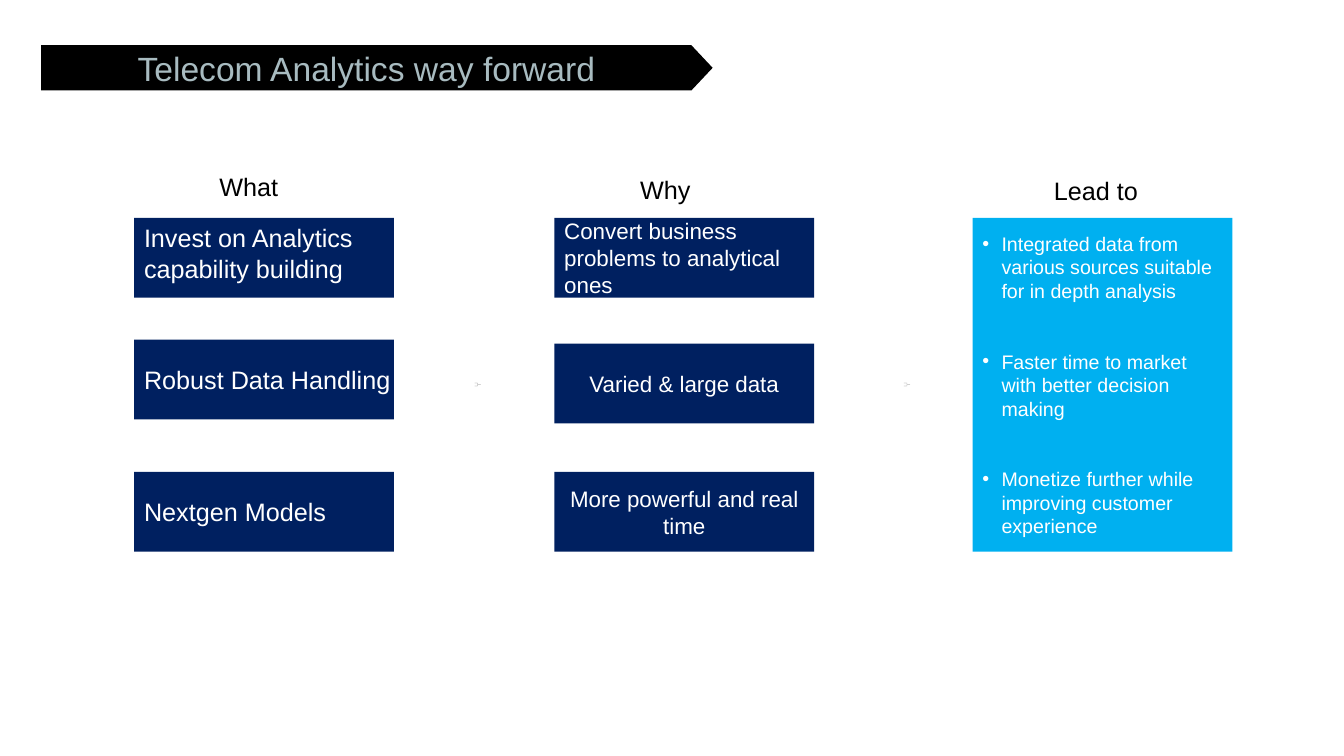
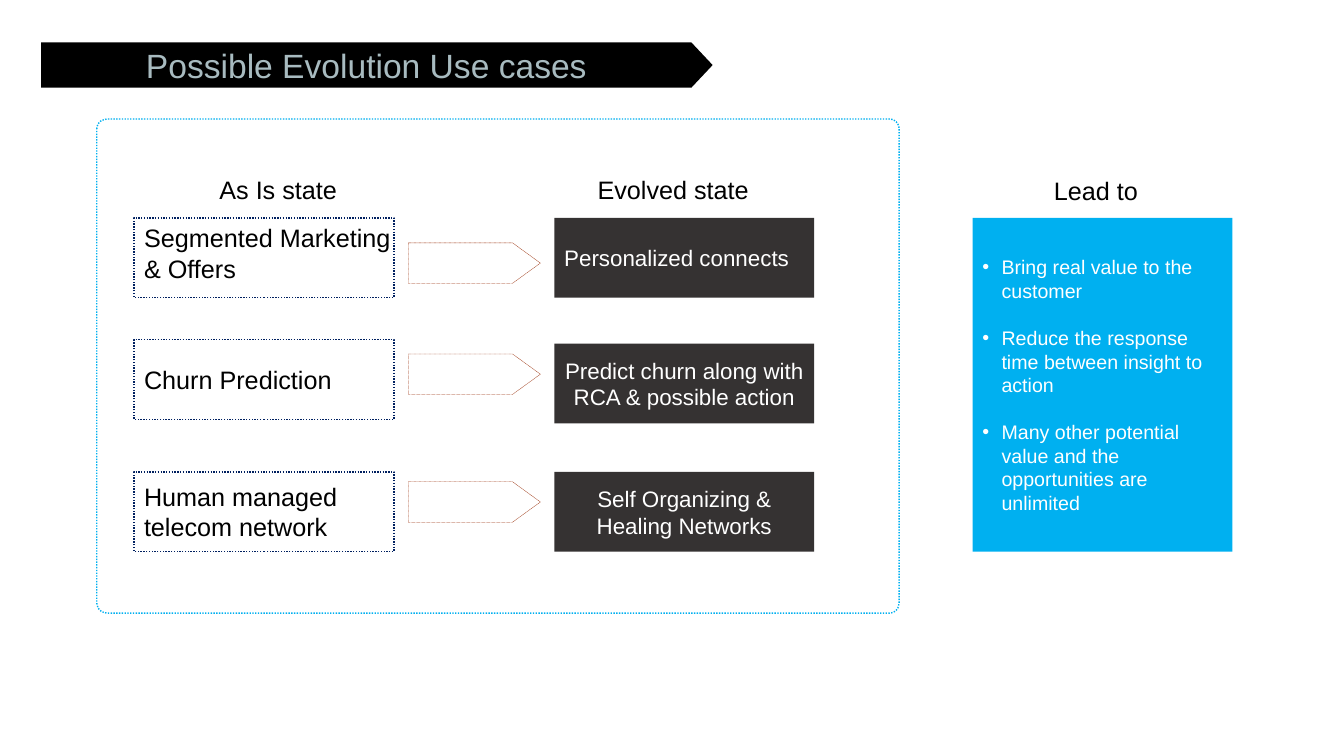
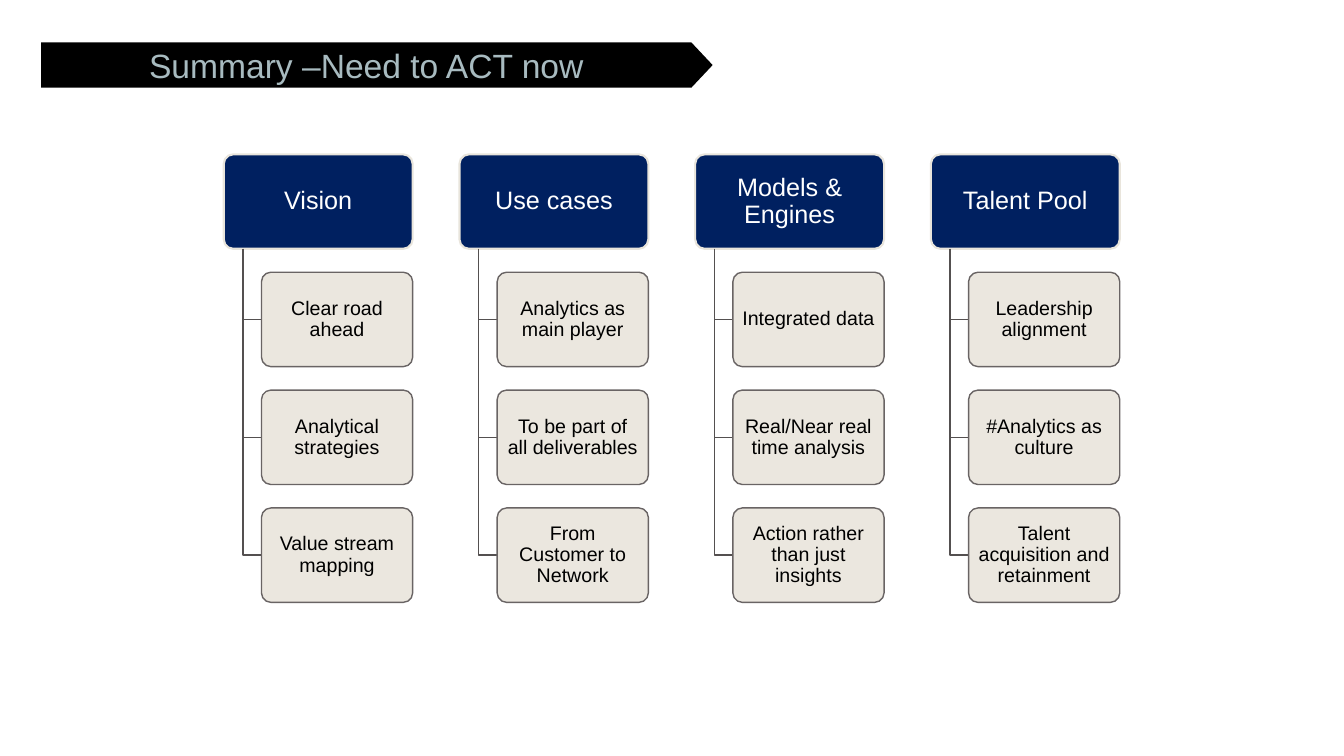
"""Build three telecom analytics slides: way forward, use cases and summary."""
from dataclasses import dataclass, field
from itertools import product
from typing import Any

from lxml import etree
from pptx import Presentation
from pptx.dml.color import RGBColor
from pptx.enum.dml import MSO_LINE
from pptx.enum.shapes import MSO_SHAPE
from pptx.enum.text import MSO_ANCHOR, PP_ALIGN
from pptx.oxml.ns import qn
from pptx.util import Cm, Pt

RECTANGLE = MSO_SHAPE.RECTANGLE
ROUNDED = MSO_SHAPE.ROUNDED_RECTANGLE
ARROW = MSO_SHAPE.RIGHT_ARROW
BRACE = MSO_SHAPE.RIGHT_BRACE
DOTTED = MSO_LINE.ROUND_DOT
TOP, MIDDLE = MSO_ANCHOR.TOP, MSO_ANCHOR.MIDDLE
LEFT, CENTER = PP_ALIGN.LEFT, PP_ALIGN.CENTER

FONT = "Arial"
COLORS = {
    "black": "000000", "white": "FFFFFF", "title": "A8BBC0", "navy": "002060",
    "sky": "00B0F0", "charcoal": "353232", "rust": "9C3511", "sand": "E9E5DC",
    "edge": "696464", "stem": "545050", "mark": "D0D0D0",
}

BOX_WIDTH, BOX_HEIGHT = 6.55, 2.01
LEFT_X, MIDDLE_X, PANEL_X = 3.38, 13.97, 24.51
LEFT_ROWS = (5.49, 8.56, 11.89)
MIDDLE_ROWS = (5.49, 8.66, 11.89)
ARROW_ROWS = (6.12, 8.92, 12.14)
PANEL_HEIGHT = 8.41
INDENT = 0.48

TREE_X, TREE_Y, TREE_STEP_X, TREE_STEP_Y = 5.64, 3.89, 5.94, 2.97
HEADER_WIDTH, CHILD_WIDTH, NODE_HEIGHT = 4.76, 3.81, 2.38
STEM_OFFSET, CHILD_OFFSET = 0.48, 0.95


@dataclass(frozen=True)
class Area:
    """Left, top, width and height in centimetres."""
    left: float
    top: float
    width: float
    height: float

    def lengths(self) -> tuple[Cm, Cm, Cm, Cm]:
        """Return the four lengths for python-pptx."""
        return Cm(self.left), Cm(self.top), Cm(self.width), Cm(self.height)


@dataclass(frozen=True)
class Look:
    """Outline, fill and line of a shape."""
    preset: Any = RECTANGLE
    fill: str = ""
    alpha: int = 100
    line: str = ""
    weight: float = 1
    dash: Any = None
    adjustments: tuple[float, ...] = ()


@dataclass(frozen=True)
class Words:
    """Format of the text in a box."""
    size: float = 18
    color: str = "black"
    align: Any = LEFT
    frame: dict[str, Any] = field(default_factory=dict)
    para: dict[str, Any] = field(default_factory=dict)


@dataclass(frozen=True)
class Heading:
    """Column heading with its place."""
    text: str
    left: float
    top: float
    width: float


@dataclass(frozen=True)
class Comparison:
    """Content of a slide with two columns of boxes and a result panel."""
    title: str
    title_top: float
    headings: tuple[Heading, ...]
    left: tuple[str, ...]
    middle: tuple[str, ...]
    results: tuple[str, ...]
    left_look: Look
    left_color: str
    middle_look: Look
    result_gap: float


@dataclass(frozen=True)
class Branch:
    """A header with the items that hang below it."""
    header: str
    items: tuple[str, ...]


def insets(side: float, end: float) -> dict[str, Any]:
    """Return equal margins for left and right, and for top and bottom."""
    return {"margin_left": Cm(side), "margin_right": Cm(side),
            "margin_top": Cm(end), "margin_bottom": Cm(end)}


TITLE_LOOK = Look(ARROW, "black", adjustments=(1, 0.47))
TITLE_WORDS = Words(24, "title", CENTER, insets(0.25, 0.33))
NAVY_LOOK = Look(fill="navy")
CHARCOAL_LOOK = Look(fill="charcoal")
DOTTED_LOOK = Look(fill="white", line="navy", dash=DOTTED)
PANEL_LOOK = Look(fill="sky")
FRAME_LOOK = Look(ROUNDED, line="sky", dash=DOTTED, adjustments=(0.02,))
STEP_LOOK = Look(ARROW, "white", line="rust", weight=0.25, dash=DOTTED,
                 adjustments=(1, 0.69))
MARK_LOOK = Look(BRACE, line="mark", weight=0.5)
HEADER_LOOK = Look(ROUNDED, "navy", line="sand", weight=1.5, adjustments=(0.1,))
CHILD_LOOK = Look(ROUNDED, "sand", 90, "edge", adjustments=(0.1,))
HEADER_WORDS = Words(18, "white", CENTER, insets(0.18, 0.15), {"line_spacing": 0.9})
CHILD_WORDS = Words(14, "black", CENTER, insets(0.15, 0.13), {"line_spacing": 0.9})

COMPARISONS = (
    Comparison(
        "Telecom Analytics way forward", 1.14,
        (Heading("What", 5.28, 4.19, 2.74), Heading("Why", 15.88, 4.27, 2.74),
         Heading("Lead to", 26.31, 4.29, 2.74)),
        ("Invest on Analytics capability building", "Robust Data Handling",
         "Nextgen Models"),
        ("Convert business problems to analytical ones", "Varied & large data",
         "More powerful and real time"),
        ("Integrated data from various sources suitable for in depth analysis",
         "Faster time to market with better decision making",
         "Monetize further while improving customer experience"),
        NAVY_LOOK, "white", NAVY_LOOK, 33.6),
    Comparison(
        "Possible Evolution Use cases", 1.07,
        (Heading("As Is state", 5.28, 4.27, 3.61),
         Heading("Evolved state", 14.81, 4.27, 5.28),
         Heading("Lead to", 26.31, 4.29, 2.74)),
        ("Segmented Marketing & Offers", "Churn Prediction",
         "Human managed telecom network"),
        ("Personalized connects", "Predict churn along with RCA & possible action",
         "Self Organizing & Healing Networks"),
        ("Bring real value to the customer",
         "Reduce the response time between insight to action",
         "Many other potential value and the opportunities are unlimited"),
        DOTTED_LOOK, "black", CHARCOAL_LOOK, 16.8),
)

BRANCHES = (
    Branch("Vision", ("Clear road ahead", "Analytical strategies",
                      "Value stream mapping")),
    Branch("Use cases", ("Analytics as main player", "To be part of all deliverables",
                         "From Customer to Network")),
    Branch("Models & Engines", ("Integrated data", "Real/Near real time analysis",
                                "Action rather than just insights")),
    Branch("Talent Pool", ("Leadership alignment", "#Analytics as culture",
                           "Talent acquisition and retainment")),
)


def rgb(name: str) -> RGBColor:
    """Return a named colour."""
    return RGBColor.from_string(COLORS[name])


def apply(target: Any, values: dict[str, Any]) -> None:
    """Set each format value on the target."""
    for name, value in values.items():
        setattr(target, name, value)


def paint(shape: Any, look: Look) -> None:
    """Give a shape its fill and line."""
    shape.shadow.inherit = False
    if look.fill:
        shape.fill.solid()
        shape.fill.fore_color.rgb = rgb(look.fill)
        if look.alpha < 100:
            color = shape.element.spPr.find(qn("a:solidFill"))[0]
            etree.SubElement(color, qn("a:alpha"), val=str(look.alpha * 1000))
    else:
        shape.fill.background()
    if look.line:
        shape.line.color.rgb = rgb(look.line)
        apply(shape.line, {"width": Pt(look.weight), "dash_style": look.dash})
    else:
        shape.line.fill.background()


def write(box: Any, texts: tuple[str, ...], words: Words) -> list[Any]:
    """Write one paragraph for each text and return the paragraphs."""
    frame = box.text_frame
    apply(frame, {"word_wrap": True, "vertical_anchor": MIDDLE, **words.frame})
    paras = [frame.paragraphs[0]] + [frame.add_paragraph() for _ in texts[1:]]
    for para, text in zip(paras, texts):
        apply(para, {"alignment": words.align, **words.para})
        span = para.add_run()
        span.text = text
        apply(span.font, {"name": FONT, "size": Pt(words.size)})
        span.font.color.rgb = rgb(words.color)
    return paras


def draw(page: Any, area: Area, look: Look, text: str = "",
         words: Words = Words()) -> Any:
    """Draw a preset shape, with text if there is any."""
    shape = page.shapes.add_shape(look.preset, *area.lengths())
    for index, value in enumerate(look.adjustments):
        shape.adjustments[index] = value
    paint(shape, look)
    if text:
        write(shape, (text,), words)
    return shape


def add_page(deck: Any, title: str, top: float) -> Any:
    """Add a blank page with the title arrow."""
    page = deck.slides.add_slide(deck.slide_layouts[6])
    draw(page, Area(1.04, top, 16.92, 1.14), TITLE_LOOK, title, TITLE_WORDS)
    return page


def add_results(page: Any, results: tuple[str, ...], gap: float) -> None:
    """Draw the panel with bulleted results."""
    panel = draw(page, Area(PANEL_X, LEFT_ROWS[0], BOX_WIDTH, PANEL_HEIGHT), PANEL_LOOK)
    paras = write(panel, results, Words(14, "white"))
    for para in paras[1:]:
        para.space_before = Pt(gap)
    for para in paras:
        settings = para._p.get_or_add_pPr()
        settings.set("marL", str(Cm(INDENT)))
        settings.set("indent", str(-Cm(INDENT)))
        etree.SubElement(settings, qn("a:buFont"), typeface=FONT)
        etree.SubElement(settings, qn("a:buChar"), char="•")


def add_comparison(deck: Any, content: Comparison) -> Any:
    """Add a page with two columns of boxes and a result panel."""
    page = add_page(deck, content.title, content.title_top)
    for row, (text, top) in enumerate(zip(content.left, LEFT_ROWS)):
        frame = {"margin_right": Cm(0), "vertical_anchor": MIDDLE if row else TOP}
        draw(page, Area(LEFT_X, top, BOX_WIDTH, BOX_HEIGHT), content.left_look, text,
             Words(18, content.left_color, frame=frame))
    for row, (text, top) in enumerate(zip(content.middle, MIDDLE_ROWS)):
        draw(page, Area(MIDDLE_X, top, BOX_WIDTH, BOX_HEIGHT), content.middle_look, text,
             Words(16, "white", CENTER if row else LEFT))
    add_results(page, content.results, content.result_gap)
    for heading in content.headings:
        area = Area(heading.left, heading.top, heading.width, 1.02)
        write(page.shapes.add_textbox(*area.lengths()), (heading.text,),
              Words(frame={"vertical_anchor": TOP}))
    return page


def add_stem(page: Any, left: float, top: float, bottom: float) -> None:
    """Draw the angled line from a header to an item."""
    builder = page.shapes.build_freeform(Cm(left), Cm(top))
    right = left + CHILD_OFFSET - STEM_OFFSET
    builder.add_line_segments([(Cm(left), Cm(bottom)), (Cm(right), Cm(bottom))],
                              close=False)
    paint(builder.convert_to_shape(), Look(line="stem"))


def add_summary(deck: Any) -> None:
    """Add the page with four branches."""
    page = add_page(deck, "Summary –Need to ACT now", 1.07)
    for column, branch in enumerate(BRANCHES):
        left = TREE_X + column * TREE_STEP_X
        draw(page, Area(left, TREE_Y, HEADER_WIDTH, NODE_HEIGHT), HEADER_LOOK,
             branch.header, HEADER_WORDS)
        for row, item in enumerate(branch.items, start=1):
            top = TREE_Y + row * TREE_STEP_Y
            add_stem(page, left + STEM_OFFSET, TREE_Y + NODE_HEIGHT,
                     top + NODE_HEIGHT / 2)
            draw(page, Area(left + CHILD_OFFSET, top, CHILD_WIDTH, NODE_HEIGHT),
                 CHILD_LOOK, item, CHILD_WORDS)


def main() -> None:
    """Build and save the deck."""
    deck = Presentation()
    apply(deck, {"slide_width": Cm(33.87), "slide_height": Cm(19.05)})
    forward, evolution = [add_comparison(deck, content) for content in COMPARISONS]
    for left, top in product((11.96, 22.78), (9.65,)):
        draw(forward, Area(left, top, 0.15, 0.08), MARK_LOOK)
    draw(evolution, Area(2.44, 3, 20.22, 12.45), FRAME_LOOK)
    for top in ARROW_ROWS:
        draw(evolution, Area(10.29, top, 3.33, 1.02), STEP_LOOK)
    add_summary(deck)
    deck.save("out.pptx")


if __name__ == "__main__":
    main()
